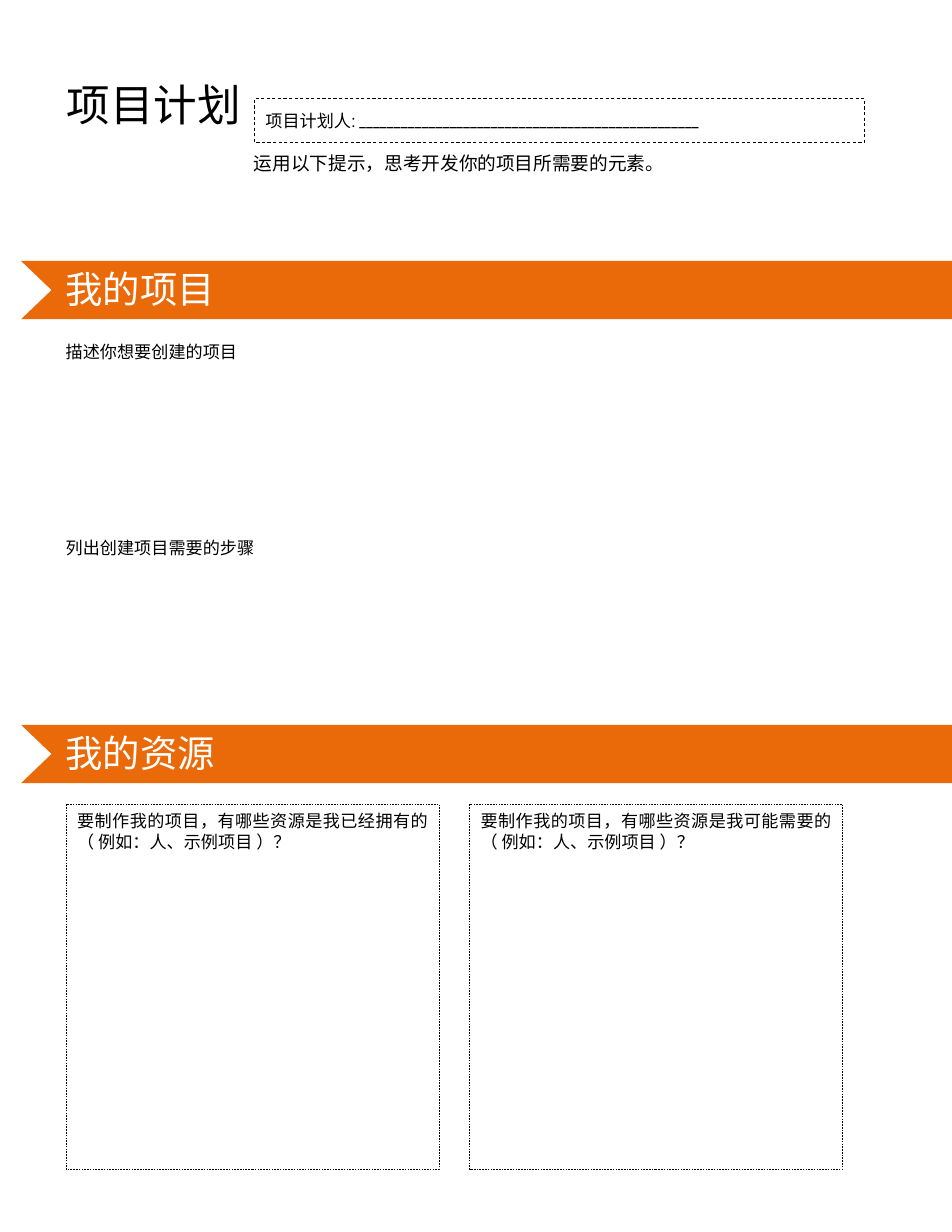
from pptx import Presentation
from pptx.dml.color import RGBColor
from pptx.enum.dml import MSO_LINE
from pptx.enum.shapes import MSO_SHAPE
from pptx.enum.text import MSO_ANCHOR, PP_ALIGN
from pptx.util import Cm, Pt

COLORS = {"text": "000000", "banner": "EA6A09", "banner_text": "FFFFFF"}
PAGE_WIDTH, PAGE_HEIGHT = 21.59, 27.94


def color(key):
    return RGBColor.from_string(COLORS[key])


def write(frame, text, size=11, font="Calibri", ink="text",
          align=PP_ALIGN.LEFT, anchor=MSO_ANCHOR.TOP):
    frame.word_wrap = True
    frame.vertical_anchor = anchor
    paragraph = frame.paragraphs[0]
    paragraph.alignment = align
    run = paragraph.add_run()
    run.text = text
    run.font.size = Pt(size)
    run.font.name = font
    run.font.color.rgb = color(ink)


def add_text(slide, box, text, **style):
    label = slide.shapes.add_textbox(*map(Cm, box))
    write(label.text_frame, text, **style)


def add_dashed_frame(slide, box, weight):
    frame = slide.shapes.add_shape(MSO_SHAPE.RECTANGLE, *map(Cm, box))
    frame.shadow.inherit = False
    frame.fill.background()
    frame.line.color.rgb = color("text")
    frame.line.width = Pt(weight)
    frame.line.dash_style = MSO_LINE.DASH
    return frame


def add_header(slide, left, top, width):
    # Instruction, planner's name field and page title
    add_text(slide, (left + 4.24, top + 1.68, 14.3, 0.76),
             "运用以下提示，思考开发你的项目所需要的元素。",
             size=12, align=PP_ALIGN.JUSTIFY)
    name_field = add_dashed_frame(
        slide, (left + 4.5, top + 0.59, width - 4.5, 0.99), 0.5)
    frame = name_field.text_frame
    frame.margin_top = frame.margin_bottom = Cm(0.25)
    write(frame, "项目计划人: " + "_" * 49, font="Roboto Condensed",
          anchor=MSO_ANCHOR.MIDDLE)
    add_text(slide, (left, top, 7.82, 1.45), "项目计划", size=28)


def add_banner(slide, left, top, width, height, heading):
    # Ribbon with a notched left end
    notch = 0.69
    outline = slide.shapes.build_freeform(Cm(left + width), Cm(top))
    outline.add_line_segments([
        (Cm(left), Cm(top)),
        (Cm(left + notch), Cm(top + height / 2)),
        (Cm(left), Cm(top + height)),
        (Cm(left + width), Cm(top + height)),
    ])
    ribbon = outline.convert_to_shape()
    ribbon.shadow.inherit = False
    ribbon.fill.solid()
    ribbon.fill.fore_color.rgb = color("banner")
    ribbon.line.fill.background()
    add_text(slide, (left + 0.76, top, 5.87, 1.27), heading, size=24,
             ink="banner_text", anchor=MSO_ANCHOR.MIDDLE)


def add_prompts(slide, left, top, width, pitch, prompts):
    for row, prompt in enumerate(prompts):
        add_text(slide, (left, top + row * pitch, width, 0.73), prompt,
                 align=PP_ALIGN.JUSTIFY)


def add_resource_cards(slide, left, top, width, height, gap, questions):
    for column, question in enumerate(questions):
        card_left = left + column * (width + gap)
        add_dashed_frame(slide, (card_left, top, width, height), 0.25)
        add_text(slide, (card_left, top + 0.02, width, 1.2), question,
                 align=PP_ALIGN.JUSTIFY)


def main():
    presentation = Presentation()
    presentation.slide_width = Cm(PAGE_WIDTH)
    presentation.slide_height = Cm(PAGE_HEIGHT)
    slide = presentation.slides.add_slide(presentation.slide_layouts[6])

    add_header(slide, 1.27, 1.65, 18.34)

    # Project section
    banner_left = 0.48
    banner_width = PAGE_WIDTH - banner_left
    add_banner(slide, banner_left, 5.92, banner_width, 1.32, "我的项目")
    add_prompts(slide, 1.24, 7.62, 8.74, 4.45,
                ["描述你想要创建的项目", "列出创建项目需要的步骤"])

    # Resources section
    add_banner(slide, banner_left, 16.44, banner_width, 1.32, "我的资源")
    add_resource_cards(slide, 1.5, 18.24, 8.46, 8.28, 0.69, [
        "要制作我的项目，有哪些资源是我已经拥有的（ 例如：人、示例项目 ）？",
        "要制作我的项目，有哪些资源是我可能需要的（ 例如：人、示例项目 ）？",
    ])

    presentation.save("out.pptx")


if __name__ == "__main__":
    main()
